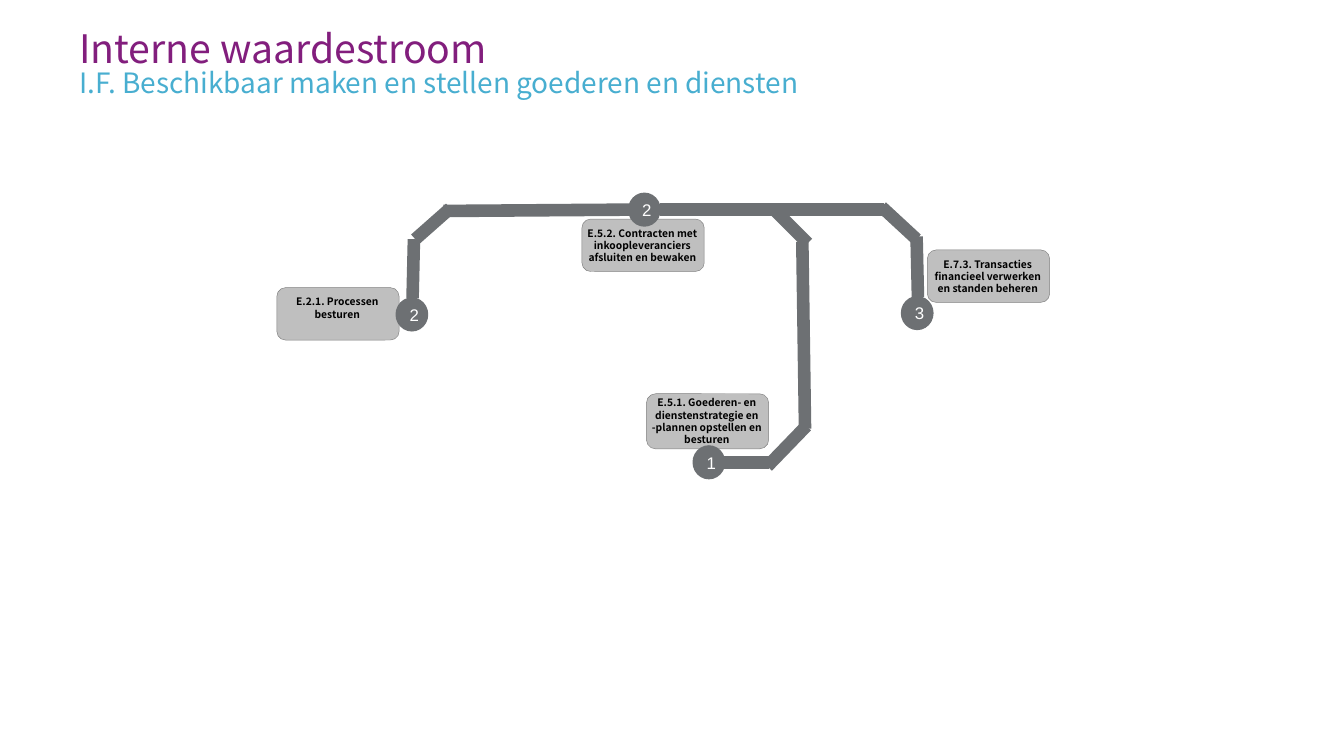
import pptx
import pptx.util
import pptx.dml.color
import pptx.enum.shapes
import pptx.enum.text
import pptx.oxml.ns
from lxml import etree

PX = 9144  # 100 px to the inch
WIDE = 1000 * PX
SANS = "Noto Sans CJK TC"
HUES = {"purple": "821E7D", "blue": "48AED0", "card": "BFBFBF", "edge": "808080",
        "track": "6D7073", "black": "000000", "white": "FFFFFF"}
Pt = pptx.util.Pt
KIND = pptx.enum.shapes.MSO_SHAPE
ANCHOR = pptx.enum.text.MSO_ANCHOR
CENTER = pptx.enum.text.PP_ALIGN.CENTER


def rgb(hue):
    return pptx.dml.color.RGBColor.from_string(HUES[hue])


def write(shape, text, font, size, hue, pads, bold=False):
    frame = shape.text_frame
    frame.text = text
    frame.word_wrap = True
    frame.auto_size = pptx.enum.text.MSO_AUTO_SIZE.NONE
    frame.vertical_anchor = ANCHOR.TOP
    (frame.margin_left, frame.margin_top,
     frame.margin_right, frame.margin_bottom) = [pad * PX for pad in pads]
    line = frame.paragraphs[0]
    face = line.runs[0].font
    face.name, face.size, face.bold = font, Pt(size), bold
    face.color.rgb = rgb(hue)
    return line


# Slide in 16:9
deck = pptx.Presentation()
deck.slide_width, deck.slide_height = WIDE, WIDE * 9 // 16
slide = deck.slides.add_slide(deck.slide_layouts[5])
shapes = slide.shapes

# Title and subtitle
title = shapes.title
title.left, title.top, title.width, title.height = [n * PX for n in (59, 14, 728, 39)]
line = write(title, "Interne waardestroom", SANS, 21, "purple", (0, 0, 0, 0))
line.alignment = pptx.enum.text.PP_ALIGN.LEFT
line.line_spacing = Pt(28)

sub = shapes.add_textbox(*[n * PX for n in (59, 44, 755, 22)])
line = write(sub, "I.F. Beschikbaar maken en stellen goederen en diensten",
             SANS, 15, "blue", (0, 0, 0, 0))
line.line_spacing = 1.2

# Process cards: left, top, height, top padding, text
cards = [
    (481, 293, 41, 0, "E.5.1. Goederen- en dienstenstrategie en -plannen opstellen en besturen"),
    (690, 186, 39, 4, "E.7.3. Transacties financieel verwerken en standen beheren"),
    (206, 214, 39, 4, "E.2.1. Processen besturen"),
    (433, 163, 39, 4, "E.5.2. Contracten met inkoopleveranciers afsluiten en bewaken"),
]
for left, top, high, pad, text in cards:
    card = shapes.add_shape(KIND.ROUNDED_RECTANGLE, left * PX, top * PX, 91 * PX, high * PX)
    card.shadow.inherit = False
    card.fill.solid()
    card.fill.fore_color.rgb = rgb("card")
    card.line.color.rgb = rgb("edge")
    card.line.width = Pt(0.25)
    write(card, text, SANS, 5.5, "black", (0, pad, 1, 4), True).alignment = CENTER

# Track pieces: from x, y to x, y
track = [
    (572, 344, 539, 344), (571, 347, 600, 317), (599, 319, 597, 180),
    (601, 181, 575, 155), (682, 178, 656, 154), (658, 156, 491, 156),
    (683, 221, 682, 176), (309, 178, 335, 155), (330, 157, 468, 156),
    (307, 222, 308, 178),
]
for ends in track:
    piece = shapes.add_connector(pptx.enum.shapes.MSO_CONNECTOR.STRAIGHT,
                                 *[n * PX for n in ends])
    piece.line.color.rgb = rgb("track")
    piece.line.width = Pt(6.75)
    etree.SubElement(piece._element.spPr, pptx.oxml.ns.qn("a:effectLst"))

# Numbered stops: left, top, number
stops = [(516, 332, "1"), (671, 221, "3"), (468, 144, "2"), (295, 222, "2")]
for left, top, mark in stops:
    stop = shapes.add_shape(KIND.OVAL, left * PX, top * PX, 23 * PX, 24 * PX)
    stop.shadow.inherit = False
    stop.fill.solid()
    stop.fill.fore_color.rgb = rgb("track")
    stop.line.color.rgb = rgb("track")
    stop.line.width = Pt(1)
    write(stop, mark, "Arial", 9, "white", (10, 5, 10, 5)).alignment = CENTER
    stop.text_frame.vertical_anchor = ANCHOR.MIDDLE

deck.save("out.pptx")
